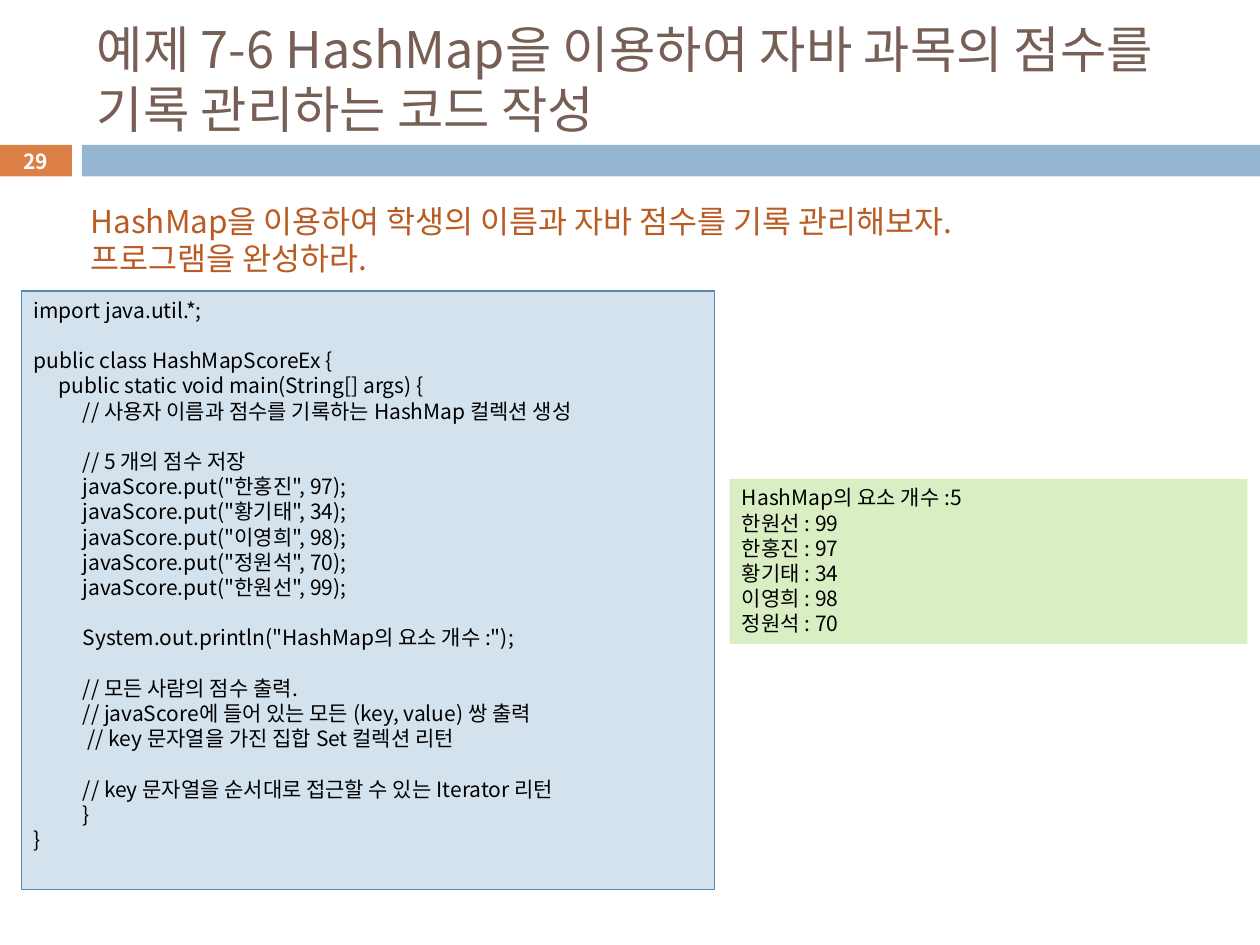
import pptx
import pptx.util
import pptx.dml.color
import pptx.enum.shapes
import pptx.enum.text
import pptx.oxml.ns
import lxml.etree

Inches = pptx.util.Inches
ANCHOR = pptx.enum.text.MSO_ANCHOR
FONT = "Noto Sans CJK KR"
COLORS = {
    "title": "775F55", "number": "FFFFFF", "number_bar": "DD8047", "bar": "94B6D2",
    "lead": "B95B22", "code": "D4E2ED", "code_line": "558BB8", "output": "DAEEC4",
    "text": "000000",
}
TITLE = "예제 7-6 HashMap을 이용하여 자바 과목의 점수를 기록 관리하는 코드 작성"
LEAD = ["HashMap을 이용하여 학생의 이름과 자바 점수를 기록 관리해보자.", "프로그램을 완성하라."]
CODE = """import java.util.*;

public class HashMapScoreEx {
\tpublic static void main(String[] args) {
\t\t// 사용자 이름과 점수를 기록하는 HashMap 컬렉션 생성

\t\t// 5 개의 점수 저장
\t\tjavaScore.put("한홍진", 97);
\t\tjavaScore.put("황기태", 34);
\t\tjavaScore.put("이영희", 98);
\t\tjavaScore.put("정원석", 70);
\t\tjavaScore.put("한원선", 99);

\t\tSystem.out.println("HashMap의 요소 개수 :");

\t\t// 모든 사람의 점수 출력.
\t\t// javaScore에 들어 있는 모든 (key, value) 쌍 출력
\t\t // key 문자열을 가진 집합 Set 컬렉션 리턴

\t\t// key 문자열을 순서대로 접근할 수 있는 Iterator 리턴
\t\t}
}""".split("\n")
OUTPUT = ["HashMap의 요소 개수 :5", "한원선 : 99", "한홍진 : 97", "황기태 : 34",
          "이영희 : 98", "정원석 : 70"]


def rgb(name):
    """Return the named colour."""
    return pptx.dml.color.RGBColor.from_string(COLORS[name])


def add_tabs(paragraph, stops):
    """Set left tab stops, given in inches."""
    tab_list = lxml.etree.SubElement(paragraph._p.get_or_add_pPr(), pptx.oxml.ns.qn("a:tabLst"))
    for stop in stops:
        lxml.etree.SubElement(tab_list, pptx.oxml.ns.qn("a:tab"), pos=str(Inches(stop)), algn="l")


def write(frame, lines, size, color, anchor=ANCHOR.TOP, align=pptx.enum.text.PP_ALIGN.LEFT,
          bold=False, tabs=()):
    """Fill a text frame with one paragraph per line."""
    frame.word_wrap = True
    frame.vertical_anchor = anchor
    for index, line in enumerate(lines):
        paragraph = frame.add_paragraph() if index else frame.paragraphs[0]
        paragraph.alignment = align
        paragraph.line_spacing = pptx.util.Pt(round(size * 1.2, 1))
        if tabs:
            add_tabs(paragraph, tabs)
        paragraph.font.size = pptx.util.Pt(size)
        if not line:
            continue
        run = paragraph.add_run()
        run.text = line
        run.font.size = pptx.util.Pt(size)
        run.font.name = FONT
        run.font.bold = bold
        run.font.color.rgb = rgb(color)
        east_asian = lxml.etree.SubElement(run._r.get_or_add_rPr(), pptx.oxml.ns.qn("a:ea"))
        east_asian.set("typeface", FONT)


def add_panel(slide, box, fill, line=None):
    """Add a filled rectangle and return its text frame."""
    panel = slide.shapes.add_shape(pptx.enum.shapes.MSO_SHAPE.RECTANGLE, *map(Inches, box))
    panel.shadow.inherit = False
    panel.fill.solid()
    panel.fill.fore_color.rgb = rgb(fill)
    if line:
        panel.line.color.rgb = rgb(line)
        panel.line.width = pptx.util.Pt(0.75)
    else:
        panel.line.fill.background()
    return panel.text_frame


def add_text(slide, box, lines, size, color, **style):
    """Add a text box."""
    write(slide.shapes.add_textbox(*map(Inches, box)).text_frame, lines, size, color, **style)


def add_header(slide, box):
    """Add the title above the slide number and the bar."""
    left, top, width, height = box
    number_width, bar_height, bar_left = 0.58, 0.25, 0.66
    bar_top = top + height - bar_height
    number = add_panel(slide, (left, bar_top, number_width, bar_height), "number_bar")
    number.margin_top = number.margin_bottom = 0
    write(number, ["29"], 11.9, "number", anchor=ANCHOR.MIDDLE,
          align=pptx.enum.text.PP_ALIGN.CENTER, bold=True)
    add_panel(slide, (left + bar_left, bar_top, width - bar_left, bar_height), "bar")
    add_text(slide, (0.67, top, 8.92, 0.74), [TITLE], 28.8, "title", anchor=ANCHOR.MIDDLE)


def add_listing(slide, box):
    """Add the program panel."""
    write(add_panel(slide, box, "code", "code_line"), CODE, 12, "text", tabs=(0.2, 0.39))


def add_output(slide, box):
    """Add the panel with the program's output."""
    write(add_panel(slide, box, "output"), OUTPUT, 12, "text")


def main():
    """Build and save the slide."""
    deck = pptx.Presentation()
    deck.slide_width, deck.slide_height = Inches(10), Inches(7.5)
    slide = deck.slides.add_slide(deck.slide_layouts[6])
    add_header(slide, (-0.01, 0.25, 10.01, 1.15))
    add_listing(slide, (0.17, 2.31, 5.5, 4.75))
    add_output(slide, (5.79, 3.8, 4.11, 1.31))
    add_text(slide, (0.62, 1.55, 8.71, 0.71), LEAD, 18, "lead")
    deck.save("out.pptx")


if __name__ == "__main__":
    main()
